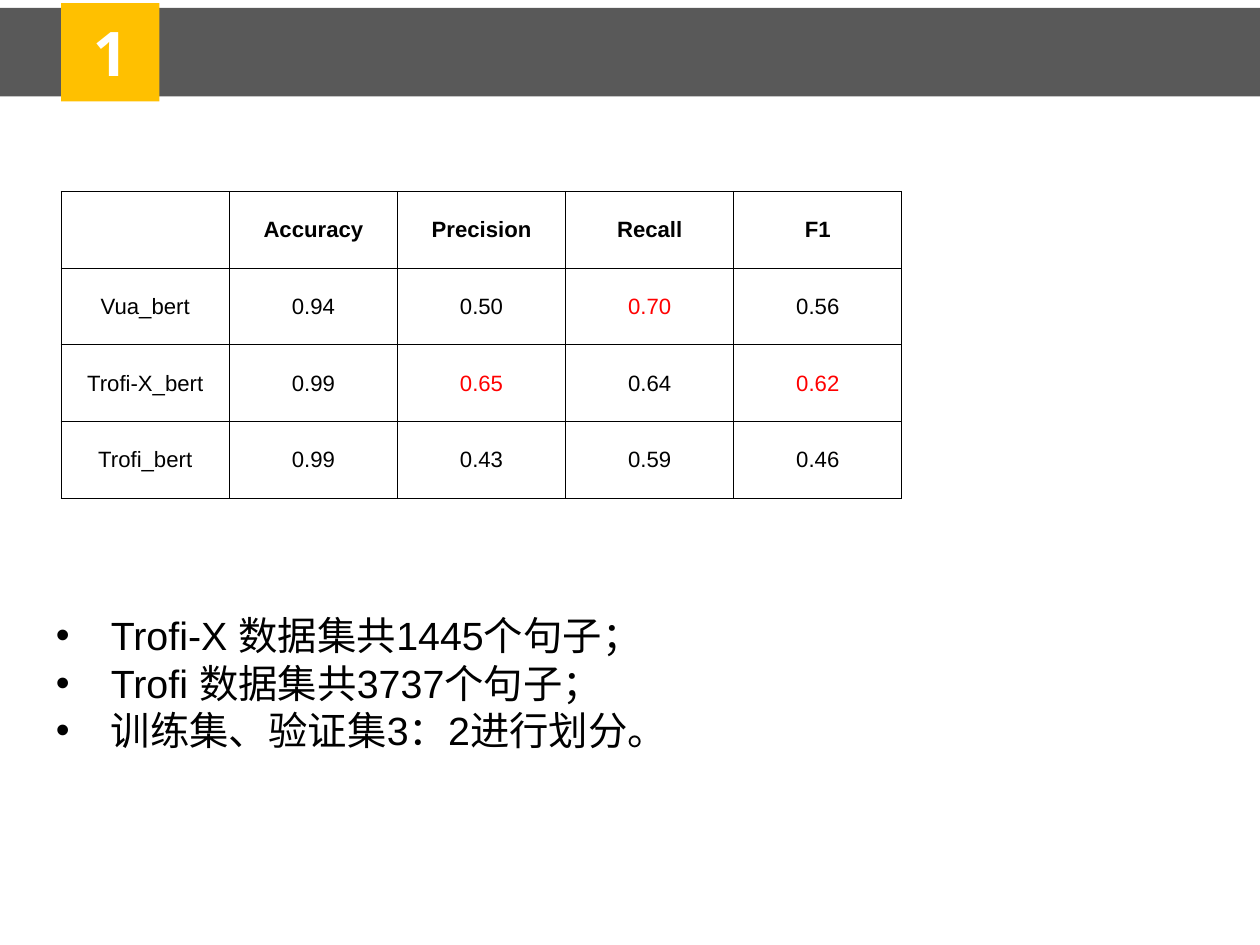
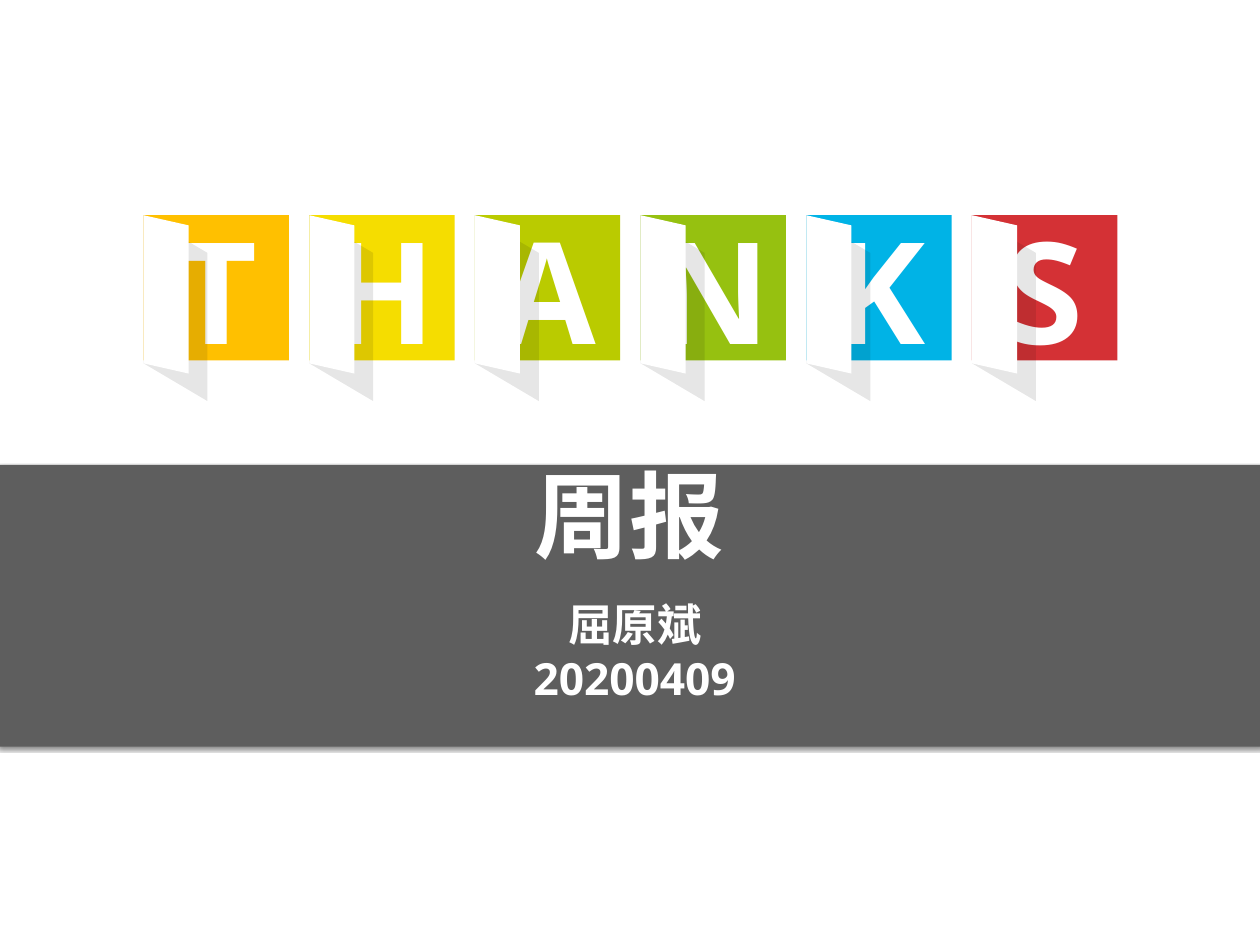
from pptx import Presentation
from pptx.dml.color import RGBColor
from pptx.enum.shapes import MSO_SHAPE
from pptx.enum.text import MSO_ANCHOR, MSO_AUTO_SIZE, PP_ALIGN
from pptx.oxml.ns import qn
from pptx.util import Inches, Pt
from lxml import etree

W, H = 14.22, 10.67
WHITE, BLACK, RED, AMBER = "FFFFFF", "000000", "FF0000", "FFC000"
HEADER_GREY, CLOSING_GREY, FOLD_SHADE = "595959", "5E5E5E", "0D0D0D"
BODY, DISPLAY = "Arial", "Open Sans"
TITLE_ONLY, BLANK = 5, 6

SCORES = [
    ["", "Accuracy", "Precision", "Recall", "F1"],
    ["Vua_bert", "0.94", "0.50", "0.70", "0.56"],
    ["Trofi-X_bert", "0.99", "0.65", "0.64", "0.62"],
    ["Trofi_bert", "0.99", "0.43", "0.59", "0.46"],
]
BEST = {(1, 3), (2, 2), (2, 4)}
DATASET_NOTES = ["Trofi-X 数据集共1445个句子；", "Trofi 数据集共3737个句子；",
                 "训练集、验证集3：2进行划分。"]
TILES = [("T", AMBER), ("H", "F5DD00"), ("A", "BACB00"),
         ("N", "96C110"), ("K", "00B3E6"), ("S", "D43135")]
# Outlines as shares of a tile's side
FOLD_SHADOW = [(0, 0), (0.44, 0.26), (0.44, 1.28), (0, 1.02)]
DOOR = [(0, 0), (0.31, 0.07), (0.31, 1.09), (0, 1.02)]


def rgb(color):
    """Turn a hex string into a colour."""
    return RGBColor.from_string(color)


def emu(box):
    """Turn numbers in inches into lengths."""
    return [Inches(v) for v in box]


def add_xml(parent, tag, **attributes):
    """Append a drawing element with attributes to its parent."""
    return etree.SubElement(parent, qn(tag), {k: str(v) for k, v in attributes.items()})


def paint(shape, color, opacity=None):
    """Give a shape a plain fill without line or shadow."""
    shape.shadow.inherit = False
    shape.fill.solid()
    shape.fill.fore_color.rgb = rgb(color)
    shape.line.fill.background()
    if opacity is not None:
        fill = next(shape._element.spPr.iter(qn("a:srgbClr")))
        add_xml(fill, "a:alpha", val=opacity * 1000)
    return shape


def add_rect(slide, box, color):
    """Add a plain rectangle."""
    return paint(slide.shapes.add_shape(MSO_SHAPE.RECTANGLE, *emu(box)), color)


def add_outline(slide, box, points, color, opacity=None):
    """Add a polygon whose points are shares of the box."""
    x, y, w, h = box
    corners = [emu((x + px * w, y + py * h)) for px, py in points]
    builder = slide.shapes.build_freeform(*corners[0])
    builder.add_line_segments(corners[1:], close=True)
    return paint(builder.convert_to_shape(), color, opacity)


def write(frame, lines, size, font, color, bold=False, align=PP_ALIGN.CENTER,
          anchor=MSO_ANCHOR.MIDDLE, inset=0.05):
    """Fill a text frame with one paragraph per line in one style."""
    frame.word_wrap = True
    frame.vertical_anchor = anchor
    frame.margin_left = frame.margin_right = Inches(inset)
    frame.margin_top = frame.margin_bottom = Inches(inset)
    for i, line in enumerate(lines):
        paragraph = frame.add_paragraph() if i else frame.paragraphs[0]
        paragraph.alignment = align
        run = paragraph.add_run()
        run.text = line
        run.font.size, run.font.name, run.font.bold = Pt(size), font, bold
        run.font.color.rgb = rgb(color)


def add_text(slide, box, lines, size, font, color, **style):
    """Add a text box and return its frame."""
    frame = slide.shapes.add_textbox(*emu(box)).text_frame
    write(frame, lines, size, font, color, **style)
    return frame


def header(slide, box, number):
    """Draw the grey header band with its numbered square."""
    x, y, w, h = box
    add_rect(slide, box, HEADER_GREY)
    side = 1.11 * h
    square = add_rect(slide, (x + 0.69, y + (h - side) / 2, side, side), AMBER)
    write(square.text_frame, [number], 50, DISPLAY, WHITE, bold=True, inset=0.06)


def border(cell):
    """Draw a thin black line on every side of a cell."""
    properties = cell._tc.get_or_add_tcPr()
    for i, side in enumerate(("a:lnL", "a:lnR", "a:lnT", "a:lnB")):
        line = etree.Element(qn(side), {"w": str(Pt(1))})
        add_xml(add_xml(line, "a:solidFill"), "a:srgbClr", val=BLACK)
        properties.insert(i, line)


def score_table(slide, box):
    """Place the evenly divided score table in the box."""
    rows, columns = len(SCORES), len(SCORES[0])
    table = slide.shapes.add_table(rows, columns, *emu(box)).table
    table.first_row = table.horz_banding = False
    for column in table.columns:
        column.width = Inches(box[2] / columns)
    for r, values in enumerate(SCORES):
        table.rows[r].height = Inches(box[3] / rows)
        for c, value in enumerate(values):
            cell = table.cell(r, c)
            cell.fill.background()
            border(cell)
            cell.vertical_anchor = MSO_ANCHOR.MIDDLE
            if value:
                paragraph = cell.text_frame.paragraphs[0]
                paragraph.alignment = PP_ALIGN.CENTER
                run = paragraph.add_run()
                run.text = value
                run.font.size, run.font.name, run.font.bold = Pt(18), BODY, r == 0
                run.font.color.rgb = rgb(RED if (r, c) in BEST else BLACK)


def bullet_list(slide, box, lines):
    """Place a bulleted list with a hanging indent."""
    frame = add_text(slide, box, lines, 32, BODY, BLACK, align=PP_ALIGN.LEFT, inset=0.06)
    frame.auto_size = MSO_AUTO_SIZE.SHAPE_TO_FIT_TEXT
    indent = Inches(0.62)
    for paragraph in frame.paragraphs:
        properties = paragraph._p.get_or_add_pPr()
        properties.set("marL", str(indent))
        properties.set("indent", str(-indent))
        add_xml(properties, "a:buFont", typeface=BODY)
        add_xml(properties, "a:buChar", char="•")


def letter_tile(slide, box, letter, color):
    """Draw a coloured tile with a letter behind an opened white door."""
    x, y, w, h = box
    add_rect(slide, box, color)
    rise = 0.19
    add_text(slide, (x, y - rise, w, h + 2 * rise), [letter], 115, DISPLAY, WHITE, bold=True)
    add_outline(slide, box, FOLD_SHADOW, FOLD_SHADE, opacity=10)
    add_outline(slide, box, DOOR, WHITE)


def tile_row(slide, box):
    """Spread the letter tiles evenly over the width of the box."""
    x, y, w, side = box
    pitch = (w - side) / (len(TILES) - 1)
    for i, (letter, color) in enumerate(TILES):
        letter_tile(slide, (x + i * pitch, y, side, side), letter, color)


def closing_band(slide, box):
    """Draw the shadowed band with report title, author and date."""
    x, y, w, h = box
    band = add_rect(slide, box, CLOSING_GREY)
    effects = band._element.spPr.find(qn("a:effectLst"))
    shadow = add_xml(effects, "a:outerShdw", blurRad=Pt(3), dist=Pt(2),
                     dir=90 * 60000, rotWithShape=0)
    add_xml(add_xml(shadow, "a:srgbClr", val=BLACK), "a:alpha", val=48000)

    title = slide.shapes.title
    title.left, title.top, title.width, title.height = emu((x + 4.11, y + 0.1, 6.05, 1.07))
    slide.shapes._spTree.append(title._element)
    write(title.text_frame, ["周报"], 77, DISPLAY, WHITE, bold=True, anchor=MSO_ANCHOR.TOP)
    title.text_frame.auto_size = MSO_AUTO_SIZE.NONE
    title.text_frame.paragraphs[0].line_spacing = Pt(75)
    add_text(slide, (x + 5.49, y + 1.45, 3.41, 1.64), ["屈原斌", "20200409"], 36,
             DISPLAY, WHITE, bold=True, anchor=MSO_ANCHOR.TOP)


def results_slide(deck):
    """Build the slide with scores and dataset notes."""
    slide = deck.slides.add_slide(deck.slide_layouts[BLANK])
    header(slide, (0, 0.09, W, 1), "1")
    score_table(slide, (0.69, 2.16, 9.49, 3.47))
    bullet_list(slide, (0.57, 6.84, 12.65, 1.73), DATASET_NOTES)


def thanks_slide(deck):
    """Build the closing slide."""
    slide = deck.slides.add_slide(deck.slide_layouts[TITLE_ONLY])
    closing_band(slide, (-0.03, 5.25, W + 0.06, 3.18))
    tile_row(slide, (1.62, 2.43, 10.99, 1.64))


def main():
    """Build and save the deck."""
    deck = Presentation()
    deck.slide_width, deck.slide_height = Inches(W), Inches(H)
    results_slide(deck)
    thanks_slide(deck)
    deck.save("out.pptx")


main()
